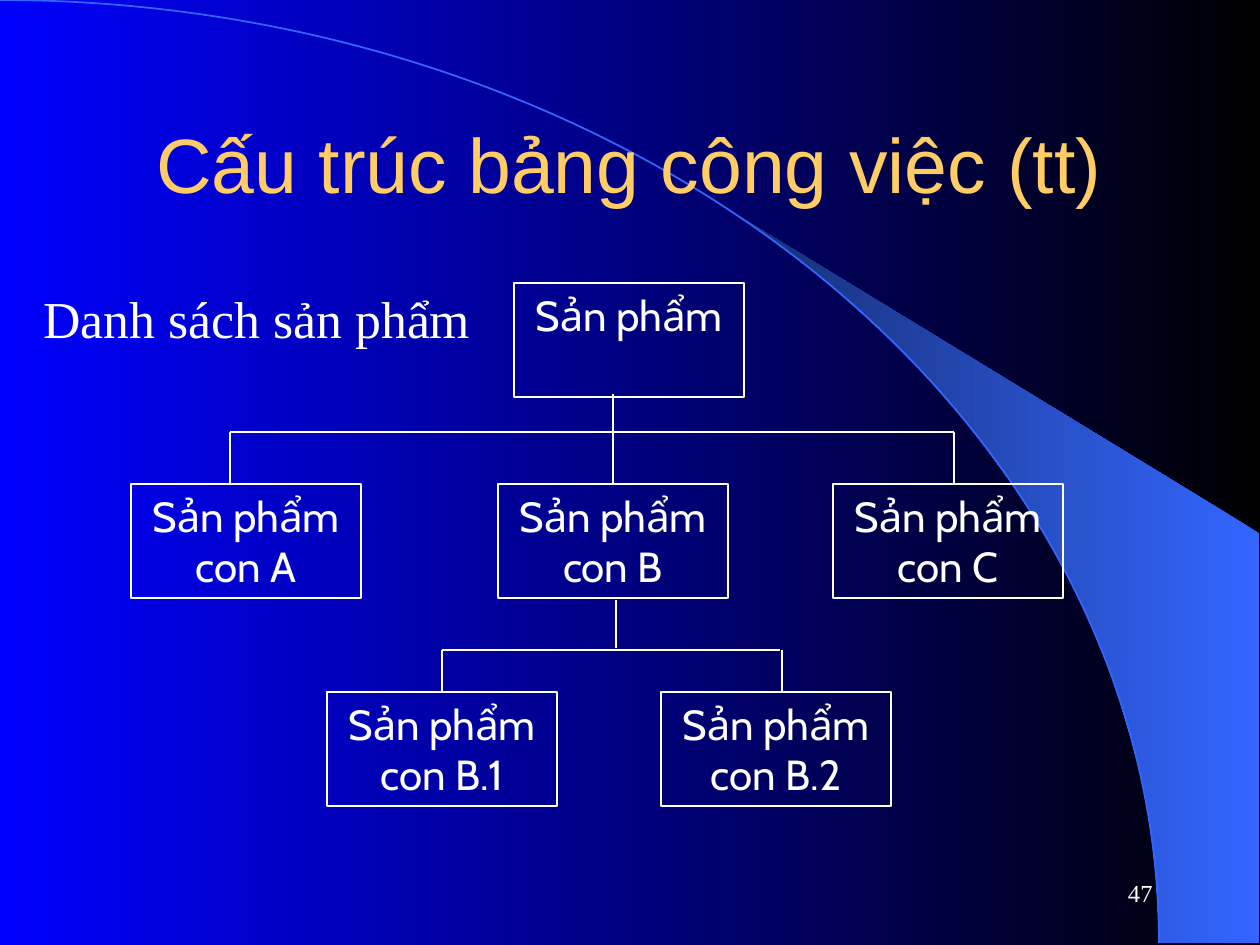
import math
from lxml import etree
from pptx import Presentation
from pptx import util as u
from pptx.dml.color import RGBColor
from pptx.enum import shapes, text
from pptx.oxml.ns import qn

PX = 914400 / 126
COLORS = {"blue": "0000FF", "black": "000000", "title": "FFCC66",
          "white": "FFFFFF", "arc": "3366FF", "arc_dark": "172F75"}
RGB = {name: RGBColor.from_string(value) for name, value in COLORS.items()}


def px(*values):
    return [round(v * PX) for v in values]


def write(sp, lines, font, size, color, align, anchor=text.MSO_ANCHOR.TOP):
    """Fill a shape with paragraphs that share one format."""
    tf = sp.text_frame
    tf.word_wrap = True
    tf.auto_size = text.MSO_AUTO_SIZE.NONE
    tf.vertical_anchor = anchor
    tf.text = lines
    for p in tf.paragraphs:
        p.alignment = align
        p.font.name = font
        p.font.size = u.Pt(size)
        p.font.color.rgb = RGB[color]


prs = Presentation()
prs.slide_width, prs.slide_height = px(1260, 945)
s = prs.slides.add_slide(prs.slide_layouts[5])

# Quarter ellipse and the wedge outside it
RX, RY = 1159, 943
start = math.asin(0.64)
angles = [start + (math.pi / 2 - start) * i / 24 for i in range(25)]
curve = [(round(RX * math.sin(a)), round(RY * (1 - math.cos(a)))) for a in angles]
builder = s.shapes.build_freeform(*curve[0], scale=PX)
builder.add_line_segments(curve[1:] + [(1259, 943), (1259, 533)])
wedge = builder.convert_to_shape()
wedge.shadow.inherit = False
wedge.line.fill.background()

for fill, names in ((s.background.fill, ("black", "blue")),
                    (wedge.fill, ("arc", "arc_dark"))):
    fill.gradient()
    fill.gradient_angle = 180
    for stop, name in zip(fill.gradient_stops, names):
        stop.color.rgb = RGB[name]

arc = s.shapes.add_shape(shapes.MSO_SHAPE.ARC, *px(-RX, 0, 2 * RX, 2 * RY))
arc.shadow.inherit = False
arc.fill.background()
arc.line.color.rgb = RGB["arc"]
arc.line.width = u.Pt(1)

# Title, placed in front of the arc
title = s.shapes.title
title.left, title.top, title.width, title.height = px(94, 84, 1071, 158)
write(title, "Cấu trúc bảng công việc (tt)", "Arial", 44, "title",
      text.PP_ALIGN.CENTER, text.MSO_ANCHOR.MIDDLE)
title._element.getparent().append(title._element)

heading = s.shapes.add_textbox(*px(31, 281, 480, 78))
write(heading, "Danh sách sản phẩm", "Times New Roman", 29.6, "white",
      text.PP_ALIGN.LEFT)

# Product boxes
boxes = {}
for name, x, y in (("", 514, 283),
                   ("A", 131, 484), ("B", 498, 484), ("C", 833, 484),
                   ("B.1", 327, 692), ("B.2", 661, 692)):
    sp = s.shapes.add_shape(shapes.MSO_SHAPE.RECTANGLE, *px(x, y, 230, 114))
    sp.shadow.inherit = False
    sp.fill.background()
    sp.line.color.rgb = RGB["white"]
    sp.line.width = u.Pt(0.75)
    label = f"Sản phẩm\ncon {name}" if name else "Sản phẩm"
    write(sp, label, "Cabin", 24, "white", text.PP_ALIGN.CENTER)
    boxes[name] = sp

# Branches: x1, y1, x2, y2 and the box whose top middle the line meets
for *ends, target in ((613, 394, 613, 484, "B"),
                      (230, 432, 954, 432, None),
                      (230, 432, 230, 484, None),
                      (954, 432, 954, 484, None),
                      (442, 650, 780, 650, None),
                      (442, 650, 442, 692, "B.1"),
                      (782, 650, 782, 692, None),
                      (616, 600, 616, 648, None)):
    line = s.shapes.add_connector(shapes.MSO_CONNECTOR.STRAIGHT, *px(*ends))
    line.line.color.rgb = RGB["white"]
    line.line.width = u.Pt(0.75)
    etree.SubElement(line._element.spPr, qn("a:effectLst"))
    if target:
        line.end_connect(boxes[target], 0)

number = s.shapes.add_textbox(*px(903, 861, 262, 63))
write(number, "47", "Times New Roman", 14, "white",
      text.PP_ALIGN.RIGHT, text.MSO_ANCHOR.MIDDLE)

prs.save("out.pptx")
